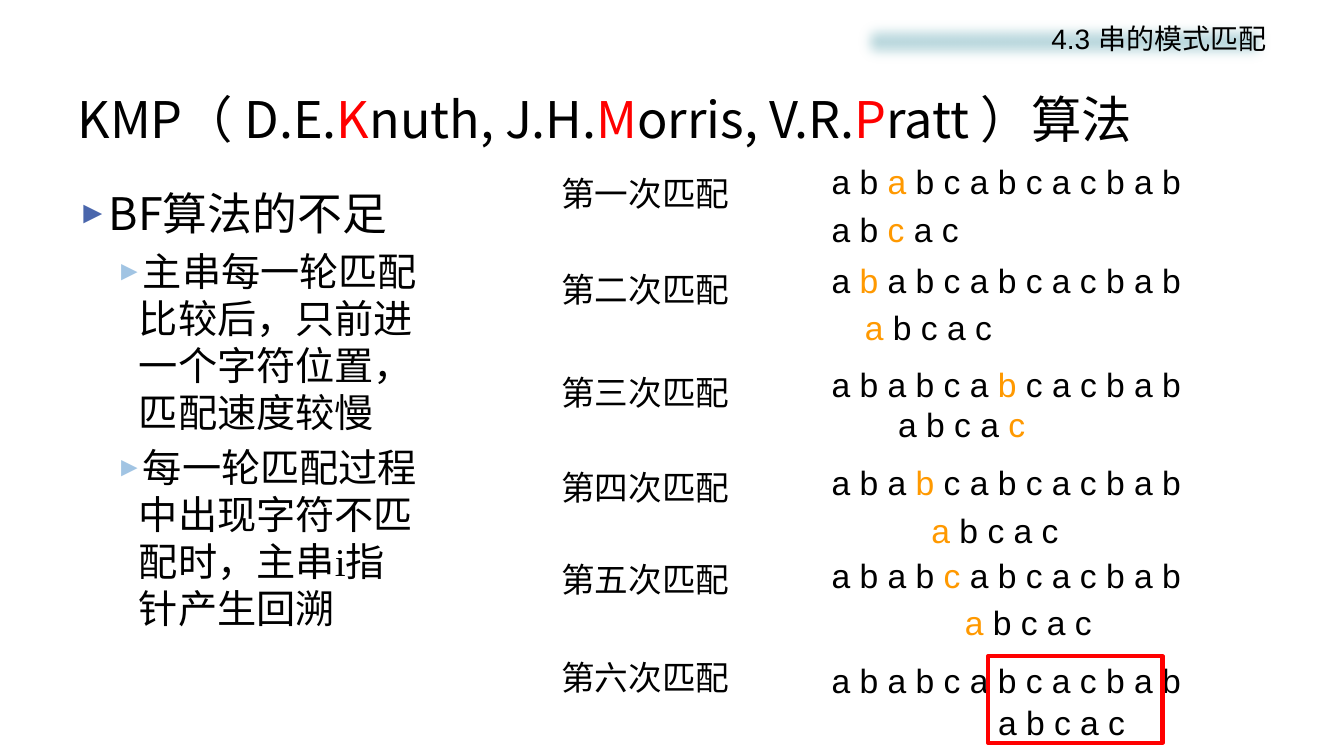
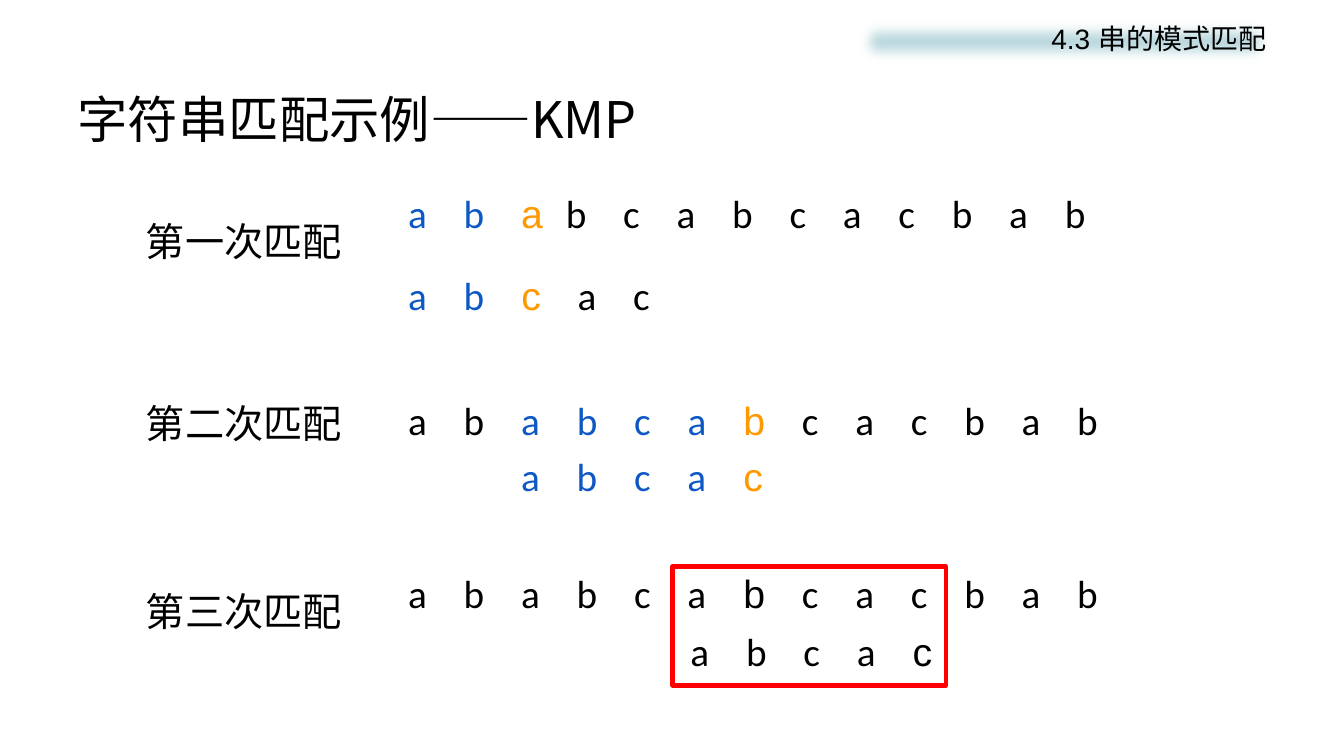
from dataclasses import dataclass

from lxml.etree import SubElement
from pptx import Presentation
from pptx.dml.color import RGBColor
from pptx.enum.shapes import MSO_SHAPE as Shape
from pptx.enum.text import MSO_ANCHOR as Anchor, PP_ALIGN as Align
from pptx.oxml.ns import qn
from pptx.util import Inches, Pt


@dataclass(frozen=True)
class Theme:
    black: str = "000000"
    red: str = "FF0000"
    orange: str = "FF9900"
    blue: str = "0E58C4"
    band: str = "BDDADF"
    bullet: str = "4A66AC"
    sub_bullet: str = "A1C4E3"
    cjk: str = "Noto Sans CJK SC"
    sans: str = "Arial"
    letters: str = "Calibri"
    serif: str = "Times New Roman"
    title_size: int = 36
    body_size: int = 32
    sub_size: int = 28
    trace_size: int = 24
    example_size: int = 28
    header_size: int = 20
    line_ratio: float = 1.3
    sub_line_ratio: float = 1.2


THEME = Theme()
MAIN_STRING = "ababcabcacbab"
PATTERN = "abcac"
ORDINALS = "一二三四五六"


# Text helpers
def style(font, name=None, size=None, color=None, spacing=None):
    if name:
        font.name = name
        SubElement(font._rPr, qn("a:ea")).set("typeface", THEME.cjk)
    if size:
        font.size = Pt(size)
    if color:
        font.color.rgb = RGBColor.from_string(color)
    if spacing:
        font._rPr.set("spc", str(spacing * 100))


def add_run(paragraph, text, **look):
    run = paragraph.add_run()
    run.text = text
    style(run.font, **look)


def text_box(slide, left, top, width, height):
    frame = slide.shapes.add_textbox(
        Inches(left), Inches(top), Inches(width), Inches(height)).text_frame
    frame.word_wrap = True
    return frame


def set_bullet(paragraph, color, margin, hanging):
    props = paragraph._p.get_or_add_pPr()
    props.set("marL", str(Inches(margin)))
    props.set("indent", str(-Inches(hanging)))
    bullet_color = SubElement(props, qn("a:buClr"))
    SubElement(bullet_color, qn("a:srgbClr")).set("val", color)
    SubElement(props, qn("a:buSzPct")).set("val", "70000")
    SubElement(props, qn("a:buFont")).set("typeface", THEME.sans)
    SubElement(props, qn("a:buChar")).set("char", "►")


# Parts shared by both slides
def add_header(slide, left=8.46, top=0.14, width=4.2, height=0.54):
    band = slide.shapes.add_shape(
        Shape.RECTANGLE, Inches(left), Inches(top), Inches(width), Inches(height))
    band.fill.solid()
    band.fill.fore_color.rgb = RGBColor.from_string(THEME.band)
    band.line.fill.background()
    band.shadow.inherit = False
    effects = band._element.spPr.find(qn("a:effectLst"))
    SubElement(effects, qn("a:softEdge")).set("rad", str(Pt(10)))
    band.text_frame.vertical_anchor = Anchor.TOP
    section = band.text_frame.paragraphs[0]
    section.text = "4.3 串的模式匹配"
    section.alignment = Align.RIGHT
    section.line_spacing = Pt(THEME.header_size * THEME.line_ratio)
    style(section.font, THEME.sans, THEME.header_size, THEME.black)


def add_title(slide, parts, left=0.67, top=0.8, width=12, height=0.75):
    """Every second part of the title is red."""
    frame = text_box(slide, left, top, width, height)
    frame.vertical_anchor = Anchor.MIDDLE
    title = frame.paragraphs[0]
    style(title.font, THEME.cjk, THEME.title_size)
    for index, part in enumerate(parts):
        add_run(title, part, color=THEME.red if index % 2 else THEME.black)


def new_slide(deck, title_parts):
    slide = deck.slides.add_slide(deck.slide_layouts[6])
    add_title(slide, title_parts)
    add_header(slide)
    return slide


def add_label(slide, number, left, top, font_name, size):
    label = text_box(slide, left, top, 2.6, 0.5).paragraphs[0]
    label.text = f"第{ORDINALS[number]}次匹配"
    label.line_spacing = Pt(size * THEME.line_ratio)
    style(label.font, font_name, size, THEME.black)


def add_match_frame(slide, left, top, width, height):
    frame = slide.shapes.add_shape(
        Shape.RECTANGLE, Inches(left), Inches(top), Inches(width), Inches(height))
    frame.fill.background()
    frame.line.color.rgb = RGBColor.from_string(THEME.red)
    frame.line.width = Pt(3)
    frame.shadow.inherit = False


def split_letters(letters, matched_from, mark):
    """Text before the matched part, matched part, marked letter and rest."""
    spaced = " ".join(letters)
    if mark is None:
        return spaced, "", "", ""
    start, end = 2 * matched_from, 2 * mark
    return spaced[:start], spaced[start:end], spaced[end], spaced[end + 1:]


# Slide 1: shortcomings of BF beside its six attempts
def add_shortcomings(slide, left, top, width, height):
    frame = text_box(slide, left, top, width, height)
    heading = frame.paragraphs[0]
    set_bullet(heading, THEME.bullet, 0.28, 0.28)
    heading.line_spacing = Pt(THEME.body_size * THEME.line_ratio)
    style(heading.font, size=THEME.body_size, color=THEME.black)
    add_run(heading, "BF", name=THEME.cjk)
    add_run(heading, "算法的不足", name=THEME.serif)
    for text in ("主串每一轮匹配比较后，只前进一个字符位置，匹配速度较慢",
                 "每一轮匹配过程中出现字符不匹配时，主串i指针产生回溯"):
        point = frame.add_paragraph()
        point.text = text
        point.level = 1
        set_bullet(point, THEME.sub_bullet, 0.61, 0.23)
        point.line_spacing = Pt(THEME.sub_size * THEME.sub_line_ratio)
        point.space_before = Pt(THEME.sub_size * 0.2)
        style(point.font, THEME.serif, THEME.sub_size, THEME.black)


def add_trace_letters(slide, letters, mark, left, top, width):
    line = text_box(slide, left, top, width, 0.5).paragraphs[0]
    style(line.font, THEME.sans, THEME.trace_size)
    colors = (THEME.black, THEME.black, THEME.orange, THEME.black)
    for part, color in zip(split_letters(letters, 0, mark), colors):
        if part:
            add_run(line, part, color=color)


def add_bf_trace(slide, left, top):
    letters_left, step = left + 2.68, 0.33
    # Offsets of label, main string and pattern, then the mismatch in the main string
    attempts = (
        (0.08, 0, 0.47, 2),
        (1.04, 0.98, 1.45, 1),
        (2.06, 2.01, 2.41, 6),
        (3, 2.98, 3.46, 3),
        (3.91, 3.91, 4.37, 4),
        (4.88, 4.95, 5.36, None),
    )
    for shift, (label_dy, main_dy, pattern_dy, miss) in enumerate(attempts):
        add_label(slide, shift, left, top + label_dy, THEME.sans, THEME.trace_size)
        add_trace_letters(slide, MAIN_STRING, miss, letters_left, top + main_dy, 5.3)
        pattern_miss = None if miss is None else miss - shift
        add_trace_letters(slide, PATTERN, pattern_miss,
                          letters_left + shift * step, top + pattern_dy, 2.91)
    add_match_frame(slide, left + 4.33, top + 4.96, 1.73, 0.86)


def build_bf_slide(deck):
    slide = new_slide(deck, ("KMP（ D.E.", "K", "nuth, J.H.", "M",
                             "orris, V.R.", "P", "ratt ）算法"))
    add_shortcomings(slide, 0.67, 1.75, 3.59, 5.34)
    add_bf_trace(slide, 5.47, 1.55)


# Slide 2: the three KMP attempts
def add_example_letters(slide, letters, matched_from, mark, found,
                        left, top, width, mark_spacing=10):
    line = text_box(slide, left, top, width, 0.57).paragraphs[0]
    style(line.font, size=THEME.example_size)
    matched_color = THEME.black if found else THEME.blue
    mark_color = THEME.black if found else THEME.orange
    looks = (
        (THEME.letters, THEME.black, 10),
        (THEME.letters, matched_color, 10),
        (THEME.sans, mark_color, mark_spacing),
        (THEME.letters, THEME.black, 10),
    )
    parts = split_letters(letters, matched_from, mark)
    for part, (name, color, spacing) in zip(parts, looks):
        if part:
            add_run(line, part, name=name, color=color, spacing=spacing)


def add_kmp_example(slide, left, top):
    letters_left, step = left + 2.6, 0.56
    # Offsets of label, main string and pattern; shift; marked letters; first mark's spacing
    attempts = (
        (0.24, 0, 0.81, 0, 2, 2, 0),
        (2.04, 2.05, 2.61, 2, 6, 4, 10),
        (3.91, 3.77, 4.34, 5, 6, 4, 10),
    )
    add_match_frame(slide, left + 5.32, top + 3.79, 2.71, 1.18)
    for number, attempt in enumerate(attempts):
        label_dy, main_dy, pattern_dy, shift, main_mark, pattern_mark, spacing = attempt
        found = number == len(attempts) - 1
        add_label(slide, number, left, top + label_dy,
                  THEME.letters, THEME.example_size)
        add_example_letters(slide, MAIN_STRING, shift, main_mark, found,
                            letters_left, top + main_dy, 7.76, spacing)
        add_example_letters(slide, PATTERN, 0, pattern_mark, found,
                            letters_left + shift * step, top + pattern_dy, 2.91)


def build_kmp_slide(deck):
    slide = new_slide(deck, ("字符串匹配示例——KMP",))
    add_kmp_example(slide, 1.35, 1.83)


def main():
    deck = Presentation()
    deck.slide_width, deck.slide_height = Inches(13.33), Inches(7.5)
    build_bf_slide(deck)
    build_kmp_slide(deck)
    deck.save("out.pptx")


if __name__ == "__main__":
    main()
